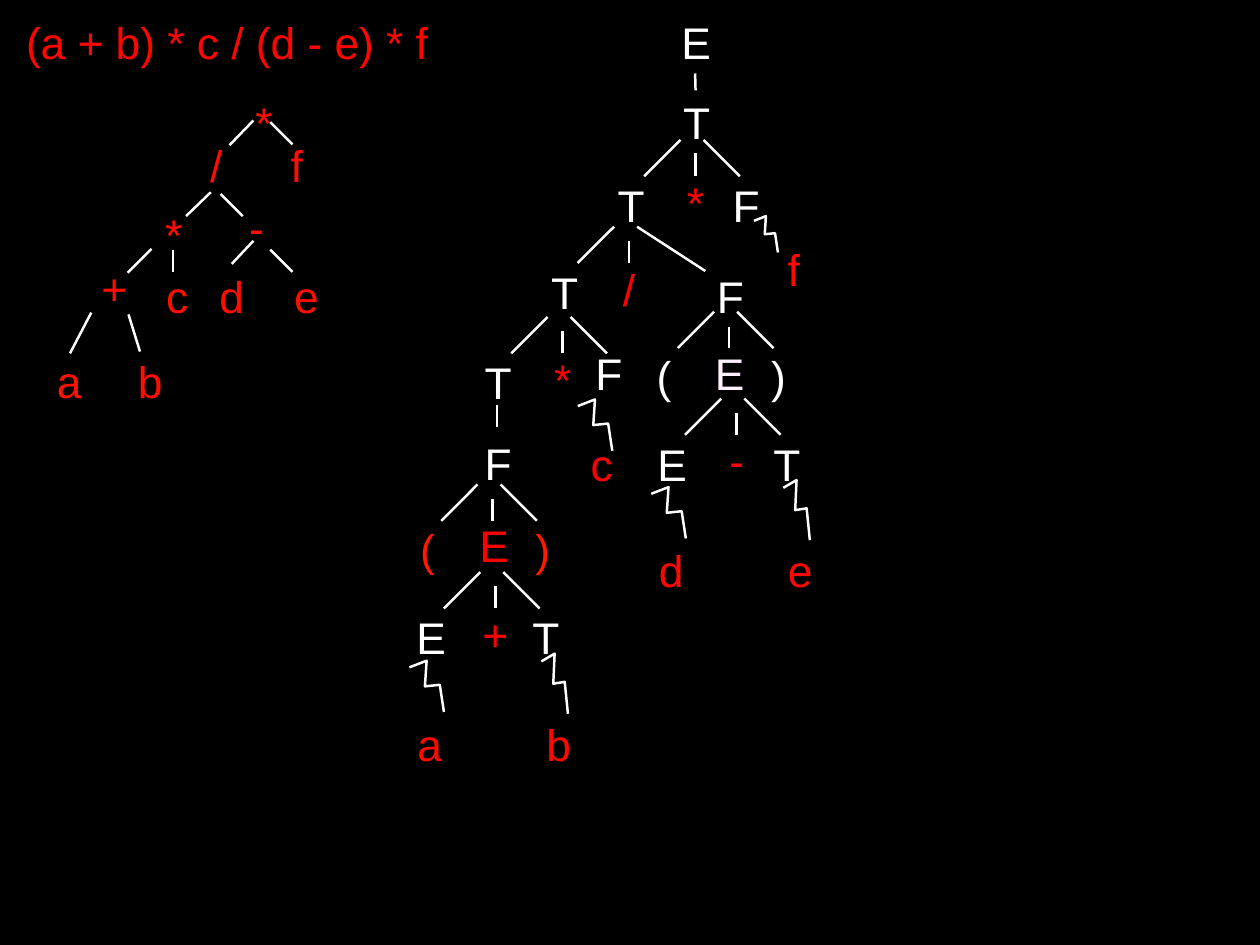
from dataclasses import dataclass

from lxml import etree
from pptx import Presentation
from pptx.dml.color import RGBColor
from pptx.enum.shapes import MSO_CONNECTOR
from pptx.enum.text import MSO_ANCHOR, MSO_AUTO_SIZE, PP_ALIGN
from pptx.oxml.ns import qn
from pptx.shapes.base import BaseShape
from pptx.slide import Slide
from pptx.util import Cm, Length, Pt

STRAIGHT = MSO_CONNECTOR.STRAIGHT
MIDDLE = MSO_ANCHOR.MIDDLE
GROW = MSO_AUTO_SIZE.SHAPE_TO_FIT_TEXT
CENTER = PP_ALIGN.CENTER
TOP_SITE, BOTTOM_SITE = 0, 2

GRID_CM = 2.54  # every position below counts in units of this grid
LABEL_HEIGHT = 0.71
JOIN_REACH = 0.04
WHITE, RED, ORANGE = "FFFFFF", "FF0000", "FF0D00"
LEAF_RED, PAREN_RED = "FF0800", "FF1900"

EXPRESSION = "(a + b) * c / (d - e) * f"
WIDTHS = {EXPRESSION: 4.79, "+": 0.46, "*": 0.32}
WIDTHS |= dict.fromkeys("bdE", 0.43) | dict.fromkeys("aceTF", 0.4)
WIDTHS |= dict.fromkeys("-()", 0.29) | dict.fromkeys("/f", 0.26)


@dataclass(frozen=True)
class Label:
    text: str
    left: float
    top: float
    color: str = WHITE


@dataclass(frozen=True)
class Edge:
    x1: float
    y1: float
    x2: float
    y2: float


@dataclass(frozen=True)
class Fork:
    """A stem with a branch on each side; x and y are the top of the stem."""
    x: float
    y: float
    right_run: float = 0.41
    right_drop: float = 0.41

    def edges(self) -> list[Edge]:
        start_y = self.y - 0.16
        right_x, left_x = self.x + 0.09, self.x - 0.17
        return [
            Edge(self.x, self.y, self.x, self.y + 0.25),
            Edge(right_x, start_y, right_x + self.right_run, start_y + self.right_drop),
            Edge(left_x, start_y, left_x - 0.41, start_y + 0.41),
        ]


@dataclass(frozen=True)
class Zigzag:
    """An abbreviated derivation from a nonterminal to its leaf."""
    left: float
    top: float
    width: float
    height: float


SYNTAX_TREE = [
    Label(EXPRESSION, 0.17, 0.12, "FF0500"),
    Label("*", 2.82, 1.02, ORANGE),
    Label("/", 2.31, 1.51, ORANGE), Label("f", 3.22, 1.51, ORANGE),
    Label("*", 1.8, 2.29, ORANGE), Label("-", 2.75, 2.2, ORANGE),
    Label("+", 1.06, 2.89, ORANGE), Label("c", 1.8, 2.98, ORANGE),
    Label("d", 2.4, 2.98, ORANGE), Label("e", 3.26, 2.98, ORANGE),
    Label("a", 0.58, 3.94, "FF1200"), Label("b", 1.48, 3.94, ORANGE),
]

SYNTAX_EDGES = [
    Edge(2.86, 1.36, 2.59, 1.64), Edge(3.05, 1.38, 3.3, 1.63),
    Edge(2.38, 2.17, 2.1, 2.44), Edge(2.49, 2.19, 2.74, 2.44),
    Edge(1.71, 2.81, 1.44, 3.08), Edge(1.95, 2.82, 1.95, 3.07),
    Edge(2.86, 2.72, 2.59, 2.99), Edge(3.05, 2.82, 3.3, 3.07),
    Edge(1.03, 3.53, 0.79, 3.99), Edge(1.45, 3.55, 1.58, 3.97),
]

PARSE_TREE = [
    Label("E", 7.63, 0.12), Label("T", 7.65, 1.02),
    Label("T", 6.91, 1.96), Label("*", 7.69, 1.92, RED), Label("F", 8.21, 1.96),
    Label("T", 6.16, 2.94), Label("/", 6.97, 2.9, RED), Label("F", 8.03, 2.98),
    Label("f", 8.83, 2.68, "FF0A00"),
    Label("T", 5.41, 3.96), Label("*", 6.19, 3.92, RED), Label("F", 6.66, 3.85),
    Label("(", 7.35, 3.89), Label("E", 8.01, 3.85, "FEF0FF"), Label(")", 8.64, 3.89),
    Label("F", 5.41, 4.87), Label("c", 6.59, 4.88, "FF0003"),
    Label("E", 7.36, 4.88), Label("-", 8.17, 4.84, RED), Label("T", 8.67, 4.88),
    Label("(", 4.68, 5.84, PAREN_RED), Label("E", 5.35, 5.8, RED),
    Label(")", 5.98, 5.84, PAREN_RED),
    Label("d", 7.36, 6.08, LEAF_RED), Label("e", 8.83, 6.08, LEAF_RED),
    Label("E", 4.64, 6.84), Label("+", 5.36, 6.8, RED), Label("T", 5.95, 6.84),
    Label("a", 4.65, 8.04, LEAF_RED), Label("b", 6.09, 8.04, LEAF_RED),
]

PARSE_STEMS = [Edge(7.85, 0.8, 7.85, 1.04), Edge(5.61, 4.57, 5.61, 4.82)]
PARSE_FORKS = [
    Fork(7.85, 1.74), Fork(7.1, 2.72, 0.77, 0.5), Fork(6.35, 3.74),
    Fork(8.23, 3.68), Fork(8.31, 4.66), Fork(5.56, 5.63), Fork(5.59, 6.62),
]

ZIGZAG_SHAPE = [(0, 0.13), (0.5, 0), (0.45, 0.5), (0.88, 0.47), (1, 1)]
ZIGZAGS = [
    Zigzag(8.51, 2.44, 0.27, 0.41), Zigzag(6.52, 4.51, 0.39, 0.58),
    Zigzag(7.35, 5.5, 0.39, 0.58), Zigzag(8.84, 5.42, 0.3, 0.68),
    Zigzag(4.62, 7.46, 0.39, 0.58), Zigzag(6.11, 7.38, 0.3, 0.68),
]


def grid(units: float) -> Length:
    return Cm(units * GRID_CM)


def rgb(color: str) -> RGBColor:
    return RGBColor.from_string(color)


def add_label(slide: Slide, label: Label) -> BaseShape:
    box = slide.shapes.add_textbox(grid(label.left), grid(label.top),
                                   grid(WIDTHS[label.text]), grid(LABEL_HEIGHT))
    frame = box.text_frame
    frame.word_wrap = False
    frame.auto_size = GROW
    frame.vertical_anchor = MIDDLE
    frame.margin_left = frame.margin_right = grid(0.06)
    frame.margin_top = frame.margin_bottom = grid(0.06)
    paragraph = frame.paragraphs[0]
    paragraph.text = label.text
    paragraph.alignment = CENTER
    paragraph.font.name = "Arial"
    paragraph.font.size = Pt(36)
    paragraph.font.color.rgb = rgb(label.color)
    return box


def meets(box: BaseShape, side_y: int, x: int, y: int) -> bool:
    reach = grid(JOIN_REACH)
    return abs(box.left + box.width / 2 - x) < reach and abs(side_y - y) < reach


def add_edge(slide: Slide, edge: Edge, boxes: list[BaseShape]) -> None:
    x1, y1, x2, y2 = (grid(value) for value in (edge.x1, edge.y1, edge.x2, edge.y2))
    connector = slide.shapes.add_connector(STRAIGHT, x1, y1, x2, y2)
    connector.line.color.rgb = rgb(WHITE)
    connector.line.width = Pt(2)
    etree.SubElement(connector._element.spPr, qn("a:effectLst"))
    # Join the ends that reach the middle of a label's side
    for box in boxes:
        if meets(box, box.top + box.height, x1, y1):
            connector.begin_connect(box, BOTTOM_SITE)
        if meets(box, box.top, x2, y2):
            connector.end_connect(box, TOP_SITE)


def add_zigzag(slide: Slide, zigzag: Zigzag) -> None:
    points = [(grid(zigzag.left + x * zigzag.width), grid(zigzag.top + y * zigzag.height))
              for x, y in ZIGZAG_SHAPE]
    builder = slide.shapes.build_freeform(*points[0])
    builder.add_line_segments(points[1:], close=False)
    derivation = builder.convert_to_shape()
    derivation.shadow.inherit = False
    derivation.fill.background()
    derivation.line.color.rgb = rgb(WHITE)
    derivation.line.width = Pt(2)


def main() -> None:
    deck = Presentation()
    deck.slide_width, deck.slide_height = grid(14.22), grid(10.67)
    slide = deck.slides.add_slide(deck.slide_layouts[6])
    slide.background.fill.solid()
    slide.background.fill.fore_color.rgb = rgb("000000")

    # Symbols of both trees
    boxes = [add_label(slide, label) for label in SYNTAX_TREE + PARSE_TREE]

    # Edges of both trees
    fork_edges = [edge for fork in PARSE_FORKS for edge in fork.edges()]
    for edge in SYNTAX_EDGES + PARSE_STEMS + fork_edges:
        add_edge(slide, edge, boxes)

    # Abbreviated derivations
    for zigzag in ZIGZAGS:
        add_zigzag(slide, zigzag)

    deck.save("out.pptx")


if __name__ == "__main__":
    main()
